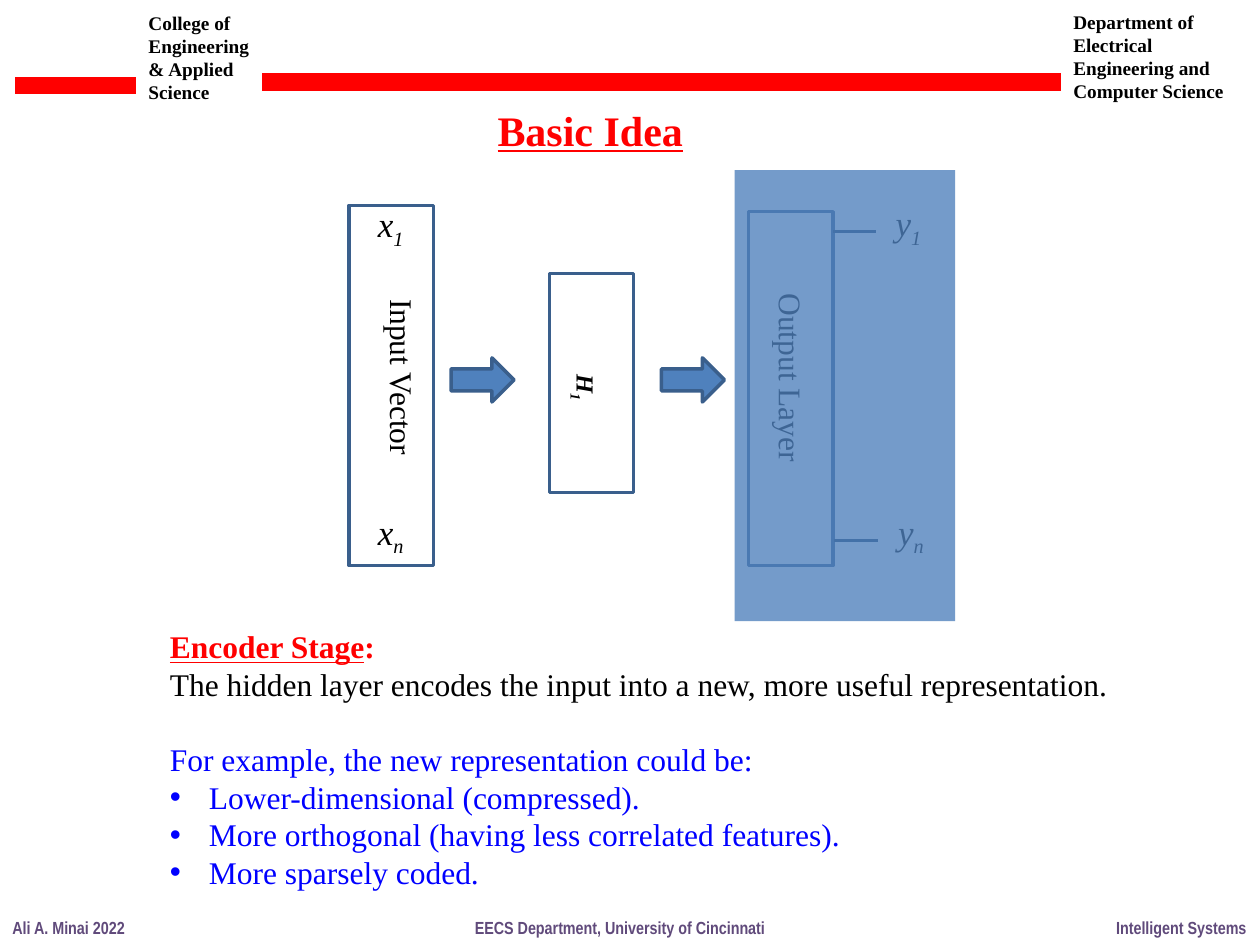
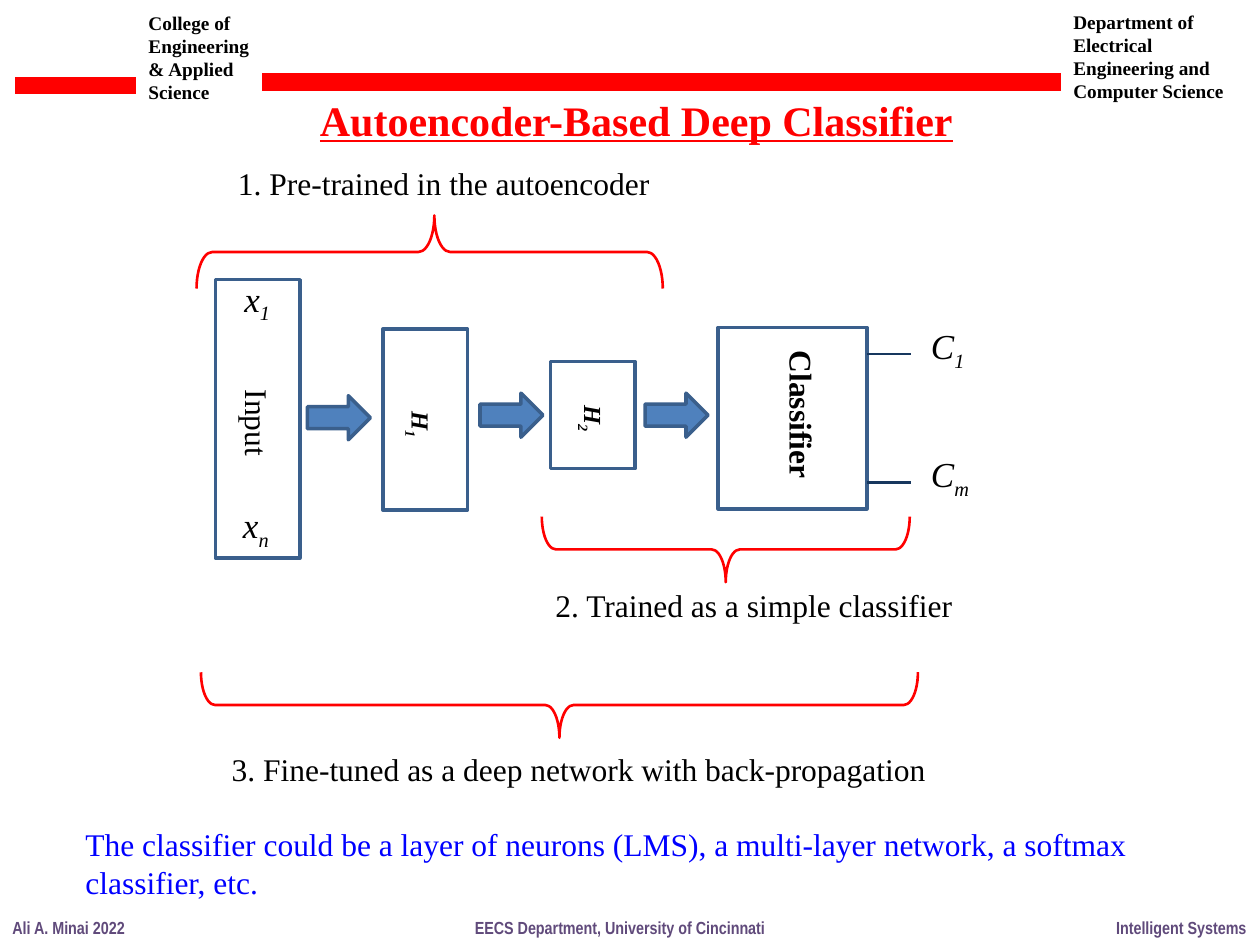
from dataclasses import dataclass, replace
from typing import NamedTuple, Optional

from lxml import etree
from pptx import Presentation
from pptx import util as u
from pptx.dml import color as colors
from pptx.enum import shapes, text
from pptx.oxml import ns


# Theme: colours, fonts and text styles
class Style(NamedTuple):
    size: float
    color: str = "000000"
    font: str = "Times New Roman"
    bold: bool = False
    italic: bool = False
    underline: bool = False


@dataclass(frozen=True)
class Theme:
    red: str = "FF0000"
    fill: str = "4F81BD"
    edge: str = "3A5F8C"
    lead: str = "17375E"
    edge_width: float = 2
    thin_width: float = 1.5
    band_width: float = 10
    header: Style = Style(11, bold=True)
    footer: Style = Style(10, "604A7B", "Arial Narrow", bold=True)
    title: Style = Style(24, "FF0000", bold=True, underline=True)
    body: Style = Style(18)
    note: Style = Style(18, "0000FF")
    symbol: Style = Style(20, italic=True)
    hidden: Style = Style(14, bold=True, italic=True)


THEME = Theme()
HEADING = replace_style = THEME.body._replace(color=THEME.red, bold=True)


# Repeated elements
class Box(NamedTuple):
    left: float
    top: float
    width: float
    height: float


class Span(NamedTuple):
    text: str
    style: Style
    subscript: bool = False


@dataclass(frozen=True)
class Line:
    spans: tuple[Span, ...]
    bullet: bool = False
    space_before: float = 0


@dataclass(frozen=True)
class Label:
    box: Box
    lines: tuple[Line, ...]
    rotation: float = 0
    wrap: bool = False


@dataclass(frozen=True)
class Rule:
    left: float
    right: float
    y: float
    color: str = THEME.lead
    width: float = THEME.thin_width


@dataclass(frozen=True)
class Brace:
    box: Box
    rotation: float
    tip: float = 0.5


def line(words: str, style: Style, bullet: bool = False, space_before: float = 0) -> Line:
    return Line((Span(words, style),), bullet, space_before)


def label(box: Box, words: str, style: Style, rotation: float = 0, wrap: bool = False) -> Label:
    return Label(box, (line(words, style),), rotation, wrap)


def indexed(left: float, top: float, letter: str, index: str, width: float = 0.42) -> Label:
    spans = (Span(letter, THEME.symbol), Span(index, THEME.symbol, True))
    return Label(Box(left, top, width, 0.44), (Line(spans),))


def hidden_name(left: float, top: float, index: str) -> Label:
    spans = (Span("H", THEME.hidden), Span(index, THEME.hidden, True))
    return Label(Box(left, top, 0.42, 0.34), (Line(spans),), rotation=90)


def rgb(value: str) -> colors.RGBColor:
    return colors.RGBColor.from_string(value)


def place(box: Box) -> list[u.Length]:
    return [u.Inches(value) for value in box]


# Drawing functions
def add_bullet(para) -> None:
    props = para._p.get_or_add_pPr()
    props.set("marL", str(u.Inches(0.31)))
    props.set("indent", str(u.Inches(-0.31)))
    etree.SubElement(props, ns.qn("a:buFont")).set("typeface", "Arial")
    etree.SubElement(props, ns.qn("a:buChar")).set("char", "•")


def format_run(run, span: Span) -> None:
    font, style = run.font, span.style
    font.name, font.size = style.font, u.Pt(style.size)
    font.bold, font.italic, font.underline = style.bold, style.italic, style.underline
    font.color.rgb = rgb(style.color)
    if span.subscript:
        font._element.set("baseline", "-25000")


def draw_label(page, item: Label) -> None:
    box = page.shapes.add_textbox(*place(item.box))
    box.rotation = item.rotation
    frame = box.text_frame
    frame.word_wrap = item.wrap
    frame.auto_size = text.MSO_AUTO_SIZE.SHAPE_TO_FIT_TEXT
    for number, row in enumerate(item.lines):
        para = frame.add_paragraph() if number else frame.paragraphs[0]
        if row.space_before:
            para.space_before = u.Pt(row.space_before)
        if row.bullet:
            add_bullet(para)
        for span in row.spans:
            run = para.add_run()
            run.text = span.text
            format_run(run, span)


def draw_rule(page, rule: Rule) -> None:
    y = u.Inches(rule.y)
    connector = page.shapes.add_connector(
        shapes.MSO_CONNECTOR.STRAIGHT, u.Inches(rule.left), y, u.Inches(rule.right), y)
    connector.line.color.rgb = rgb(rule.color)
    connector.line.width = u.Pt(rule.width)
    etree.SubElement(connector._element.spPr, ns.qn("a:effectLst"))


def draw_shape(page, kind, box: Box, fill: Optional[str] = None,
               edge: Optional[str] = THEME.edge, width: float = THEME.edge_width):
    shape = page.shapes.add_shape(kind, *place(box))
    shape.shadow.inherit = False
    if fill:
        shape.fill.solid()
        shape.fill.fore_color.rgb = rgb(fill)
    else:
        shape.fill.background()
    if edge:
        shape.line.color.rgb = rgb(edge)
        shape.line.width = u.Pt(width)
    else:
        shape.line.fill.background()
    return shape


def draw_layer(page, box: Box) -> None:
    draw_shape(page, shapes.MSO_SHAPE.RECTANGLE, box)


def draw_arrow(page, left: float, top: float) -> None:
    draw_shape(page, shapes.MSO_SHAPE.RIGHT_ARROW, Box(left, top, 0.5, 0.35), THEME.fill)


def draw_brace(page, brace: Brace) -> None:
    shape = draw_shape(page, shapes.MSO_SHAPE.LEFT_BRACE, brace.box,
                       edge=THEME.red, width=THEME.thin_width)
    shape.rotation = brace.rotation
    shape.adjustments[0], shape.adjustments[1] = 0.215, brace.tip


def draw_veil(page, box: Box) -> None:
    veil = draw_shape(page, shapes.MSO_SHAPE.RECTANGLE, box, THEME.fill, None)
    tint = veil._element.spPr.find(".//" + ns.qn("a:srgbClr"))
    etree.SubElement(tint, ns.qn("a:alpha")).set("val", "79000")


# Header, bands and footer shared by both slides
FRAME_RULES = (
    Rule(0.12, 1.08, 0.68, THEME.red, THEME.band_width),
    Rule(2.08, 8.42, 0.65, THEME.red, THEME.band_width),
)
FRAME_LABELS = (
    Label(Box(1.08, 0.04, 1.09, 0.84),
          (line("College of Engineering & Applied", THEME.header),
           line("Science", THEME.header)), wrap=True),
    label(Box(8.42, 0.03, 1.47, 0.84),
          "Department of Electrical Engineering and Computer Science", THEME.header, wrap=True),
    label(Box(0, 7.23, 1.1, 0.27), "Ali A. Minai 2022", THEME.footer),
    label(Box(8.76, 7.23, 1.24, 0.27), "Intelligent Systems", THEME.footer),
    label(Box(3.67, 7.23, 2.52, 0.27), "EECS Department, University of Cincinnati", THEME.footer),
)


def add_page(deck, title: str, box: Box):
    page = deck.slides.add_slide(deck.slide_layouts[6])
    for rule in FRAME_RULES:
        draw_rule(page, rule)
    for item in FRAME_LABELS + (label(box, title, THEME.title),):
        draw_label(page, item)
    return page


def build_basic_idea(deck) -> None:
    page = add_page(deck, "Basic Idea", Box(3.85, 0.78, 1.69, 0.5))

    # Network layers
    for box in (Box(2.77, 1.63, 0.67, 2.86), Box(4.36, 2.17, 0.67, 1.74),
                Box(5.94, 1.68, 0.67, 2.81)):
        draw_layer(page, box)
    for left in (3.58, 5.25):
        draw_arrow(page, left, 2.84)
    for rule in (Rule(6.61, 6.95, 1.84), Rule(6.62, 6.97, 4.29)):
        draw_rule(page, rule)
    for item in (
        indexed(2.9, 1.56, "x", "1"),
        indexed(2.9, 4, "x", "n"),
        indexed(7.01, 1.55, "y", "1"),
        indexed(7.03, 4, "y", "n"),
        hidden_name(4.44, 2.91, "1"),
        label(Box(2.46, 2.81, 1.47, 0.4), "Input Vector", THEME.body, 90),
        label(Box(5.5, 2.81, 1.56, 0.4), "Output Layer", THEME.body, 90),
    ):
        draw_label(page, item)
    draw_veil(page, Box(5.83, 1.35, 1.75, 3.58))

    # Explanation
    benefits = ("Lower-dimensional (compressed).",
                "More orthogonal (having less correlated features).",
                "More sparsely coded.")
    draw_label(page, Label(Box(1.25, 4.93, 7.72, 2.22), (
        Line((Span("Encoder Stage", HEADING._replace(underline=True)), Span(":", HEADING))),
        line("The hidden layer encodes the input into a new, more useful representation.",
             THEME.body),
        line("For example, the new representation could be:", THEME.note, space_before=21),
        *(line(benefit, THEME.note, bullet=True) for benefit in benefits),
    )))


def build_deep_classifier(deck) -> None:
    page = add_page(deck, "Autoencoder-Based Deep Classifier", Box(2.44, 0.7, 5.41, 0.5))

    # Network layers
    for box in (Box(1.71, 2.22, 0.67, 2.21), Box(3.04, 2.61, 0.67, 1.44),
                Box(4.37, 2.87, 0.67, 0.85), Box(5.7, 2.6, 1.18, 1.44)):
        draw_layer(page, box)
    for left, top in ((2.44, 3.14), (3.81, 3.12), (5.12, 3.12)):
        draw_arrow(page, left, top)
    for y in (2.81, 3.83):
        draw_rule(page, Rule(6.88, 7.23, y))

    # Training stages
    for brace in (Brace(Box(3.12, 0.15, 0.58, 3.7), 90, 0.49),
                  Brace(Box(5.5, 2.9, 0.52, 2.92), 270),
                  Brace(Box(4.18, 2.75, 0.52, 5.69), 270)):
        draw_brace(page, brace)

    for item in (
        indexed(1.84, 2.15, "x", "1"),
        indexed(1.83, 3.95, "x", "n"),
        indexed(7.29, 2.53, "C", "1", 0.48),
        indexed(7.29, 3.54, "C", "m", 0.52),
        hidden_name(3.13, 3.21, "1"),
        hidden_name(4.5, 3.16, "2"),
        label(Box(1.68, 3.16, 0.73, 0.4), "Input", THEME.body, 90),
        label(Box(5.75, 3.1, 1.23, 0.4), "Classifier", THEME.body._replace(bold=True), 90),
        label(Box(1.79, 1.25, 3.5, 0.4), "1. Pre-trained in the autoencoder", THEME.body),
        label(Box(4.31, 4.6, 3.39, 0.4), "2. Trained as a simple classifier", THEME.body),
        label(Box(1.74, 5.9, 5.77, 0.4),
              "3. Fine-tuned as a deep network with back-propagation", THEME.body),
        label(Box(0.58, 6.5, 8.76, 0.71),
              "The classifier could be a layer of neurons (LMS), a multi-layer network, "
              "a softmax classifier, etc.", THEME.note, wrap=True),
    ):
        draw_label(page, item)


def main() -> None:
    deck = Presentation()
    deck.slide_width, deck.slide_height = u.Inches(10), u.Inches(7.5)
    build_basic_idea(deck)
    build_deep_classifier(deck)
    deck.save("out.pptx")


if __name__ == "__main__":
    main()
